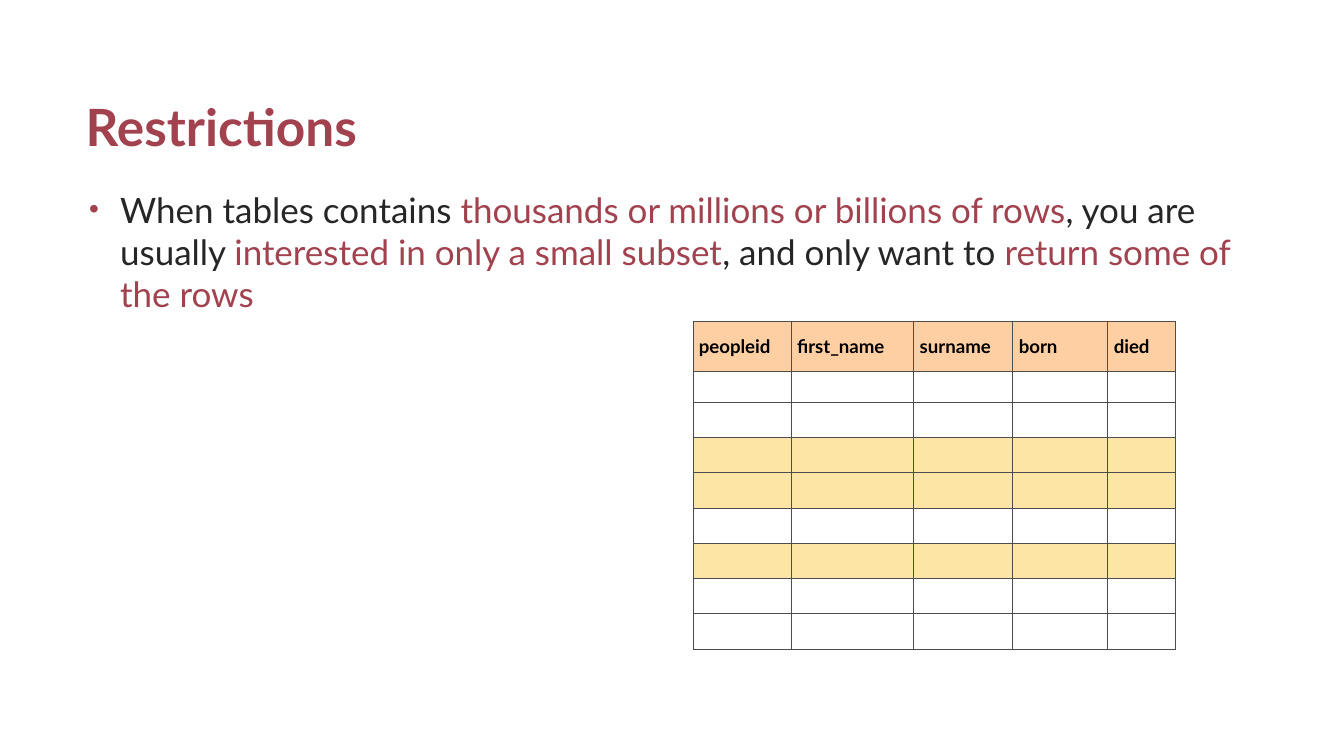
from lxml import etree
from pptx import Presentation
from pptx import util as u
from pptx.dml.color import RGBColor
from pptx.enum import text
from pptx.oxml import parse_xml
from pptx.oxml.ns import nsdecls, qn

THEME = dict(font="Lato", accent="A2424F", ink="262626", black="000000",
             header="FDCFA2", selected="FDE6A5", plain="FFFFFF", border="4D4D4D",
             title_size=44, body_size=30, table_size=16)


def add_run(p, words, size, color, bold=False):
    r = p.add_run()
    r.text = words
    for name, value in dict(name=THEME["font"], size=u.Pt(size), bold=bold).items():
        setattr(r.font, name, value)
    r.font.color.rgb = RGBColor.from_string(THEME[color])


def place(sp, left, top, width, height, **frame):
    for name, value in dict(left=left, top=top, width=width, height=height).items():
        setattr(sp, name, u.Inches(value))
    tf = sp.text_frame
    for name, value in dict(frame, word_wrap=True, auto_size=text.MSO_AUTO_SIZE.NONE).items():
        setattr(tf, name, value)
    return tf.paragraphs[0]


prs = Presentation()
prs.slide_width, prs.slide_height = u.Inches(16), u.Inches(9)
s = prs.slides.add_slide(prs.slide_layouts[1])
margin = 0.92
content_width = 16 - 2 * margin

# Title
p = place(s.shapes.title, margin, 0.36, content_width, 1.56,
          vertical_anchor=text.MSO_ANCHOR.BOTTOM)
p.alignment = text.PP_ALIGN.LEFT
add_run(p, "Restrictions", THEME["title_size"], "accent", True)

# Bullet with highlighted phrases
p = place(s.placeholders[1], margin, 2.17, content_width, 5.83,
          margin_left=u.Inches(0.14), margin_right=u.Inches(0.14),
          margin_top=u.Inches(0.07), margin_bottom=u.Inches(0.07),
          vertical_anchor=text.MSO_ANCHOR.TOP)
p.space_before, p.space_after = u.Pt(4), u.Pt(2)
for words, color in [("When tables contains ", "ink"),
                     ("thousands or millions or billions of rows", "accent"),
                     (", you are usually ", "ink"),
                     ("interested in only a small subset", "accent"),
                     (", and only want to ", "ink"),
                     ("return some of the rows", "accent")]:
    add_run(p, words, THEME["body_size"], color)
pPr = p._p.get_or_add_pPr()
pPr.set("marL", str(u.Inches(0.37)))
pPr.set("indent", str(-u.Inches(0.37)))
color = etree.SubElement(pPr, qn("a:buClr"))
etree.SubElement(color, qn("a:srgbClr"), val=THEME["accent"])
etree.SubElement(pPr, qn("a:buSzPct"), val="80000")
etree.SubElement(pPr, qn("a:buFont"), typeface="Arial")
etree.SubElement(pPr, qn("a:buChar"), char="•")

# Table with the selected rows highlighted
columns = {"peopleid": 1.17, "first_name": 1.46, "surname": 1.18, "born": 1.13, "died": 0.81}
heights = [0.59, 0.37] + [0.42] * 7
selected_rows = {3, 4, 6}
tbl = s.shapes.add_table(len(heights), len(columns), u.Inches(8.25), u.Inches(3.83),
                         u.Inches(sum(columns.values())), u.Inches(sum(heights))).table
tbl.first_row = tbl.horz_banding = False
for col, width in zip(tbl.columns, columns.values()):
    col.width = u.Inches(width)
cell_format = dict(margin_left=u.Inches(0.07), margin_right=u.Inches(0.07),
                   margin_top=u.Inches(0.03), margin_bottom=u.Inches(0.03),
                   vertical_anchor=text.MSO_ANCHOR.MIDDLE)
for i, height in enumerate(heights):
    tbl.rows[i].height = u.Inches(height)
    fill = "header" if i == 0 else "selected" if i in selected_rows else "plain"
    for j, heading in enumerate(columns):
        cell = tbl.cell(i, j)
        for name, value in cell_format.items():
            setattr(cell, name, value)
        p = cell.text_frame.paragraphs[0]
        if i == 0:
            add_run(p, heading, THEME["table_size"], "black", True)
        else:
            etree.SubElement(p._p, qn("a:endParaRPr"), sz=str(THEME["table_size"] * 100))
        # Borders come before the fill in the cell properties
        for side in "LRTB":
            cell._tc.get_or_add_tcPr().append(parse_xml(
                f'<a:ln{side} {nsdecls("a")} w="{u.Pt(1)}"><a:solidFill>'
                f'<a:srgbClr val="{THEME["border"]}"/></a:solidFill></a:ln{side}>'))
        cell.fill.solid()
        cell.fill.fore_color.rgb = RGBColor.from_string(THEME[fill])

prs.save("out.pptx")
